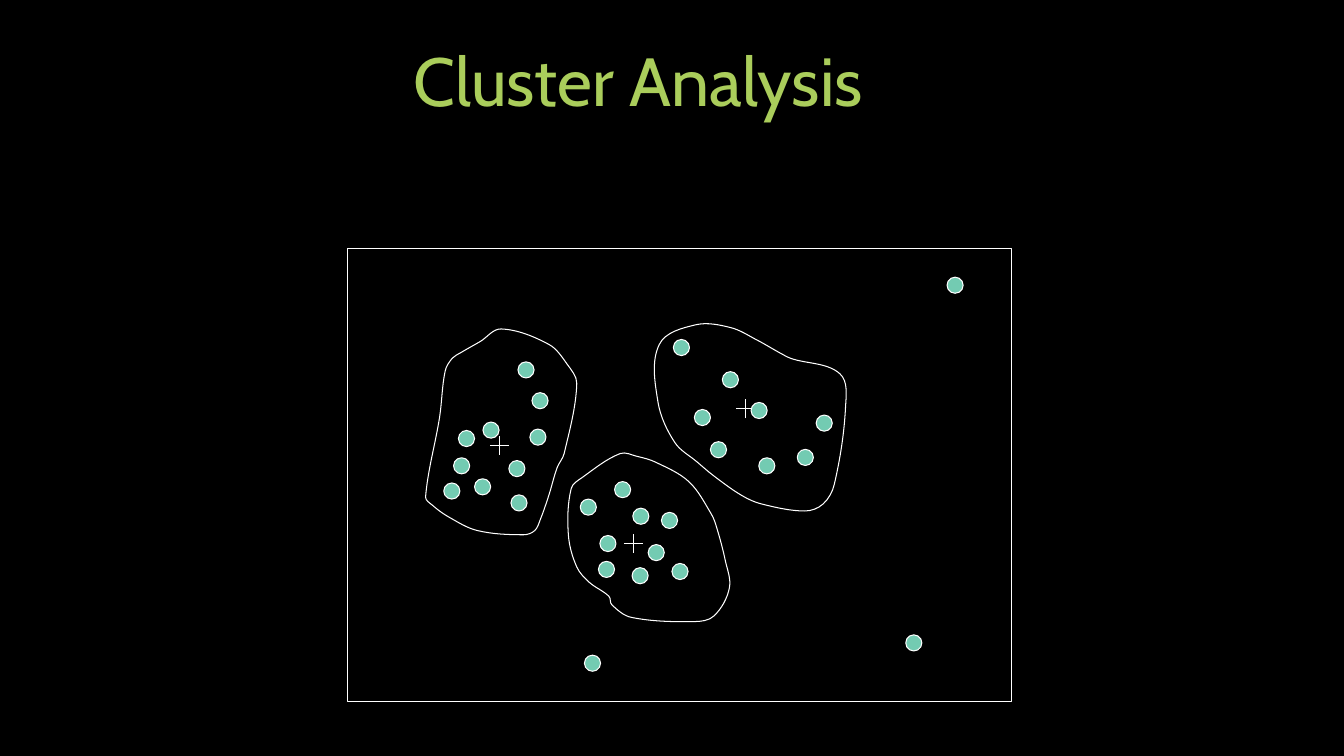
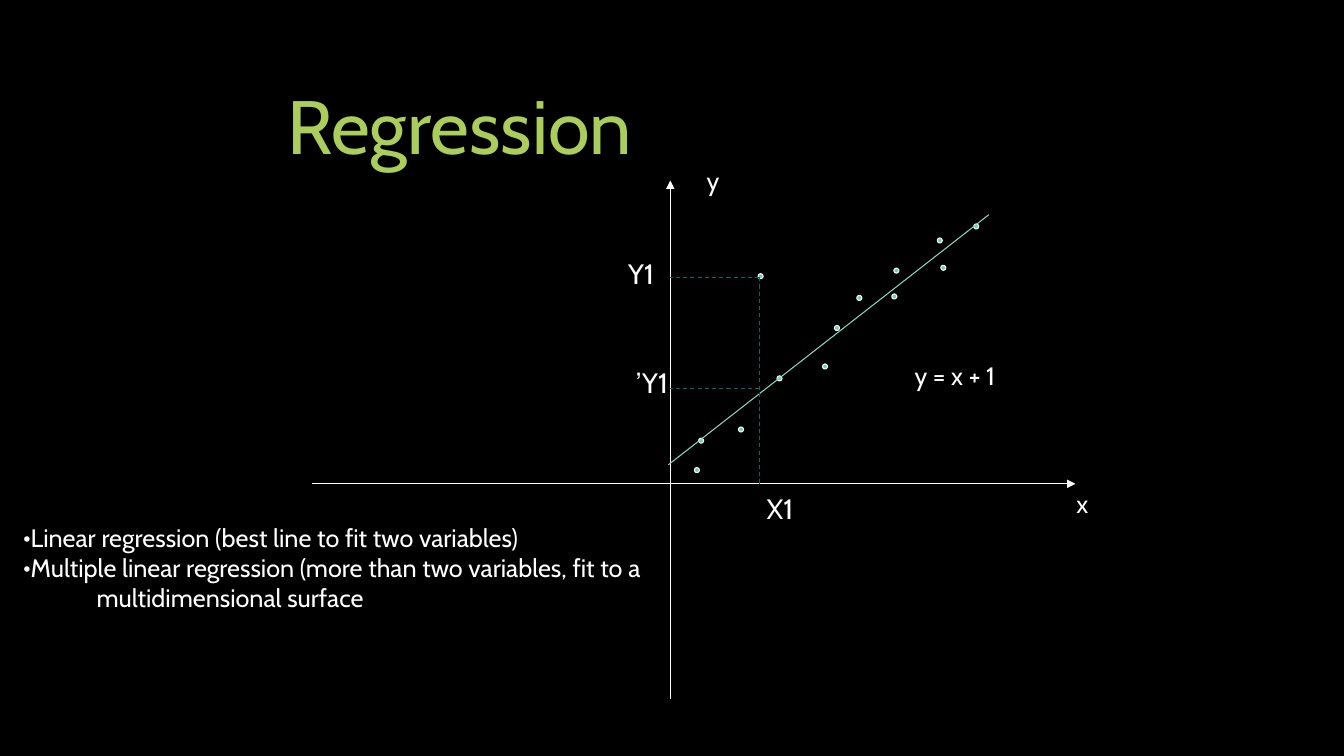
"""Build two slides that illustrate cluster analysis and regression."""
from typing import NamedTuple

from lxml import etree
from pptx import Presentation
from pptx.dml.color import RGBColor
from pptx.enum.dml import MSO_LINE
from pptx.enum.shapes import MSO_CONNECTOR, MSO_SHAPE
from pptx.enum.text import MSO_ANCHOR, MSO_AUTO_SIZE, PP_ALIGN
from pptx.oxml.ns import qn
from pptx.util import Pt

RECT, OVAL = MSO_SHAPE.RECTANGLE, MSO_SHAPE.OVAL
NODE = MSO_SHAPE.FLOWCHART_CONNECTOR
STRAIGHT, DASH = MSO_CONNECTOR.STRAIGHT, MSO_LINE.DASH
MIDDLE, FIT, RIGHT = MSO_ANCHOR.MIDDLE, MSO_AUTO_SIZE.SHAPE_TO_FIT_TEXT, PP_ALIGN.RIGHT
COLORS = {"back": "000000", "title": "AACD5B", "ink": "FFFFFF",
          "dot": "73CBB2", "fit": "8ED5C1", "guide": "006666"}
FONT = "Cabin"
LINE_WIDTH = Pt(0.75)


def rgb(name):
    return RGBColor.from_string(COLORS[name])


def smooth_loop(anchors):
    points = [complex(*anchor) for anchor in anchors]
    following = points[1:] + points[:1]
    preceding = points[-1:] + points[:-1]
    tangents = [(b - a) / abs(b - a) for a, b in zip(preceding, following)]
    loop = points[:1]
    for a, b, leave, arrive in zip(points, following, tangents, tangents[1:] + tangents[:1]):
        handle = abs(b - a) / 3
        loop += [a + leave * handle, b - arrive * handle, b]
    return [(Pt(point.real), Pt(point.imag)) for point in loop]


class Deck:
    def __init__(self):
        self.prs = Presentation()
        self.prs.slide_width, self.prs.slide_height = Pt(960), Pt(540)
        self.s = None

    def slide(self):
        self.s = self.prs.slides.add_slide(self.prs.slide_layouts[6])
        fill = self.s.background.fill
        fill.solid()
        fill.fore_color.rgb = rgb("back")

    def style(self, sp, fill=None):
        sp.shadow.inherit = False
        sp.line.color.rgb = rgb("ink")
        sp.line.width = LINE_WIDTH
        if fill:
            sp.fill.solid()
            sp.fill.fore_color.rgb = rgb(fill)
        else:
            sp.fill.background()

    def shape(self, kind, x, y, w, h, fill=None):
        sp = self.s.shapes.add_shape(kind, Pt(x), Pt(y), Pt(w), Pt(h))
        self.style(sp, fill)

    def dots(self, kind, size, places):
        for x, y in places:
            self.shape(kind, x, y, size, size, "dot")

    def line(self, x1, y1, x2, y2, color="ink", dash=None, arrow=False):
        c = self.s.shapes.add_connector(STRAIGHT, Pt(x1), Pt(y1), Pt(x2), Pt(y2))
        c.line.color.rgb = rgb(color)
        c.line.width = LINE_WIDTH
        if dash:
            c.line.dash_style = dash
        if arrow:
            etree.SubElement(c.line._get_or_add_ln(), qn("a:tailEnd"), type="triangle")
        etree.SubElement(c.element.spPr, qn("a:effectLst"))

    def cross(self, x, y, arm=6.8):
        self.line(x - arm, y, x + arm, y)
        self.line(x, y + arm, x, y - arm)

    def outline(self, anchors):
        start, *rest = smooth_loop(anchors)
        builder = self.s.shapes.build_freeform(*start)
        builder.add_line_segments(rest, close=True)
        sp = builder.convert_to_shape()
        self.style(sp)
        segments = list(sp.element.iter(qn("a:lnTo")))
        for i in range(0, len(segments), 3):
            curve = etree.Element(qn("a:cubicBezTo"))
            segments[i].addprevious(curve)
            for segment in segments[i:i + 3]:
                curve.append(segment[0])
                segment.getparent().remove(segment)

    def text(self, x, y, w, h, lines, size, color="ink", frame=None, para=None):
        tf = self.s.shapes.add_textbox(Pt(x), Pt(y), Pt(w), Pt(h)).text_frame
        for key, value in {"word_wrap": True, **(frame or {})}.items():
            setattr(tf, key, value)
        for i, line in enumerate(lines):
            p = tf.paragraphs[0] if i == 0 else tf.add_paragraph()
            for key, value in (para or {}).items():
                setattr(p, key, value)
            r = p.add_run()
            r.text = line
            for key, value in {"name": FONT, "size": Pt(size)}.items():
                setattr(r.font, key, value)
            r.font.color.rgb = rgb(color)
        return tf.paragraphs

    def title(self, x, y, w, h, text, size):
        self.text(x, y, w, h, [text], size, "title",
                  {"vertical_anchor": MIDDLE}, {"line_spacing": 0.9})

    def label(self, x, y, w, text, size):
        frame = {"word_wrap": False, "auto_size": FIT}
        p, = self.text(x, y, w, 1.2 * size + 7.2, [text], size,
                       frame=frame, para={"alignment": RIGHT})
        p._p.get_or_add_pPr().set("rtl", "1")

    def bullets(self, x, y, w, h, items, continuation, indent, size):
        *marked, last = self.text(x, y, w, h, [*items, continuation], size,
                                  frame={"auto_size": FIT})
        for p in marked:
            pPr = p._p.get_or_add_pPr()
            etree.SubElement(pPr, qn("a:buFont"), typeface=FONT)
            etree.SubElement(pPr, qn("a:buChar"), char="•")
        last._p.get_or_add_pPr().set("marL", str(Pt(indent)))


class Cluster(NamedTuple):
    centroid: tuple
    members: list
    boundary: list


CLUSTERS = [
    Cluster(
        centroid=(357, 318),
        members=[(339, 342), (324, 327), (363.5, 329), (345, 301.5), (317, 345),
                 (327.5, 307.5), (365, 353.5), (378.5, 306.5), (380, 280.5), (370, 258.5)],
        boundary=[(398, 334), (392, 354), (386, 371), (382, 379), (374, 382),
                  (341, 379), (320, 369), (309, 361), (304, 355), (314, 298),
                  (318, 265), (323, 256), (329, 252), (343, 244), (358, 235),
                  (392, 246), (405, 260), (412, 274), (403, 324)]),
    Cluster(
        centroid=(532.5, 292),
        members=[(516, 265.5), (507.5, 315.5), (536.5, 287.5), (496, 292.5),
                 (583, 296.5), (569.5, 321), (542, 327), (481, 242.5)],
        boundary=[(600, 267), (604, 291), (596, 346), (588, 360), (575, 365),
                  (544, 360), (530, 354), (510, 340), (498, 330), (482, 316),
                  (470, 287), (471, 246), (497, 232), (522, 234), (541, 243),
                  (557, 252), (565, 256)]),
    Cluster(
        centroid=(452.5, 388),
        members=[(414.5, 356.5), (472.5, 366), (451.5, 405.5), (463, 389), (428.5, 382.5),
                 (427.5, 401), (439, 344), (452, 363), (480, 402.5)],
        boundary=[(435, 426), (421, 416), (412, 405), (406, 382), (408, 349),
                  (416, 341), (443, 324), (455, 326), (468, 330), (492, 344),
                  (508, 367), (512, 377), (518, 400), (521, 420), (510, 440),
                  (496, 444), (451, 441), (437, 432)]),
]
OUTLIERS = [(647, 453.5), (417.5, 468), (676.5, 198)]

AXIS_X, AXIS_Y = 478.8, 345.6
SAMPLE_X, SAMPLE_Y, FITTED_Y = 542.5, 198, 277.5
SAMPLES = [
    (541.5, 195.5), (587.5, 260), (555, 268.5), (527.5, 305), (596, 232.5),
    (612, 211), (499, 313), (637, 210), (638.5, 191.5), (672, 189.5),
    (496, 334), (669.5, 170), (695.5, 160)]


def cluster_slide(deck):
    deck.slide()
    deck.title(288, 36, 342, 48, "Cluster Analysis", 48.6)
    deck.shape(RECT, 248.4, 177.4, 473.8, 323.8)
    for cluster in CLUSTERS:
        deck.outline(cluster.boundary)
        deck.cross(*cluster.centroid)
        deck.dots(NODE, 11.5, cluster.members)
    deck.dots(NODE, 11.5, OUTLIERS)


def regression_slide(deck):
    deck.slide()
    deck.title(198, 48, 377, 90, "Regression", 54)
    deck.line(223.2, AXIS_Y, 768.2, AXIS_Y, arrow=True)
    deck.line(AXIS_X, 499, AXIS_X, 129, arrow=True)
    deck.dots(OVAL, 3.6, SAMPLES)
    deck.line(477.4, 332, 706.3, 153.4, "fit")
    deck.line(SAMPLE_X, SAMPLE_Y, SAMPLE_X, AXIS_Y, "guide", DASH)
    for y in (SAMPLE_Y, FITTED_Y):
        deck.line(SAMPLE_X, y, AXIS_X, y, "guide", DASH)
    for x, y, w, text, size in [
            (761.5, 345, 23, "x", 18), (498, 114.5, 23, "y", 18),
            (644.5, 254, 73.4, "y = x + 1", 18), (538.5, 347.5, 35.3, "X1", 20),
            (439, 180, 35.3, "Y1", 20), (444, 257.5, 40.3, "Y1’", 20)]:
        deck.label(x, y, w, text, size)
    deck.bullets(9.4, 369.4, 546, 72.7,
                 ["Linear regression (best line to fit two variables)",
                  "Multiple linear regression (more than two variables, fit to a"],
                 "multidimensional surface", 52.5, 18)


deck = Deck()
cluster_slide(deck)
regression_slide(deck)
deck.prs.save("out.pptx")
